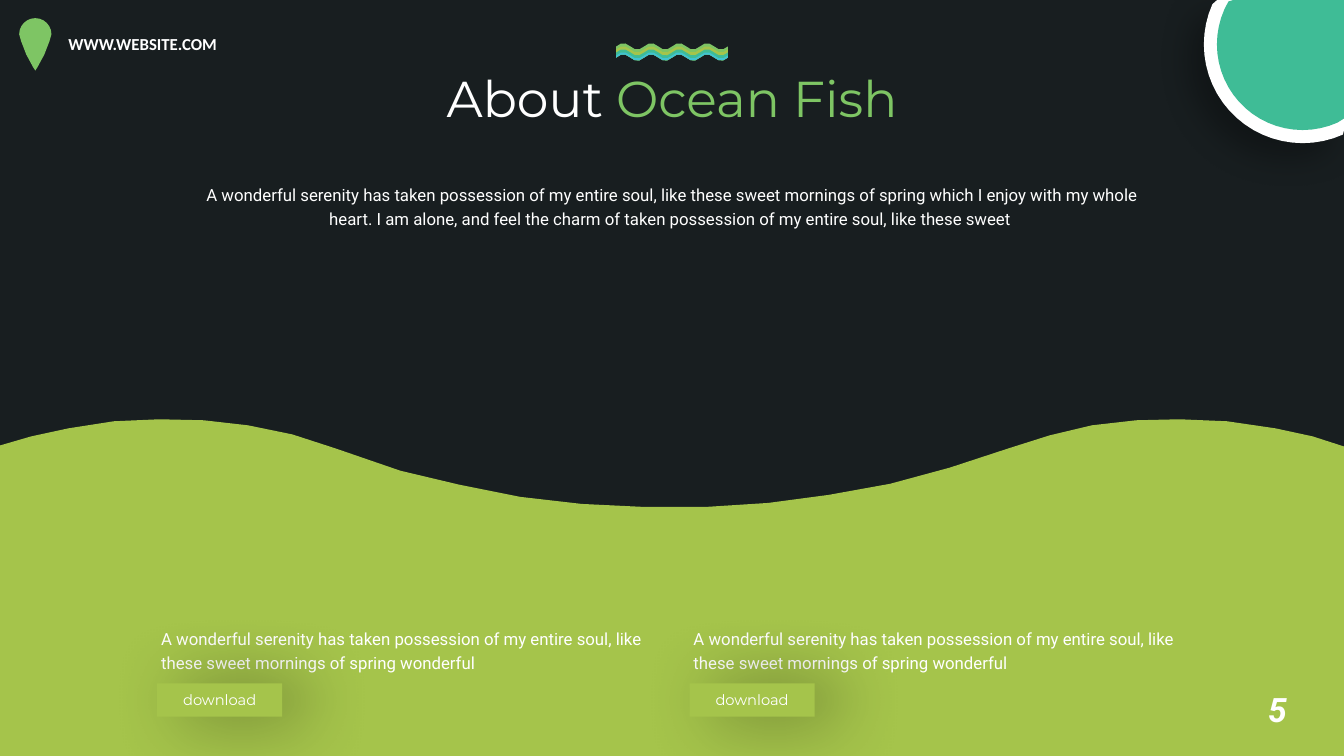
from math import cos, pi, radians, sin

from lxml.etree import SubElement
from pptx import Presentation
from pptx.dml.color import RGBColor
from pptx.enum.shapes import MSO_SHAPE
from pptx.enum.text import MSO_ANCHOR, MSO_AUTO_SIZE, PP_ALIGN
from pptx.oxml.ns import qn
from pptx.util import Pt

SCALE = 9144  # EMU per px, 100 px to the inch
WIDTH, HEIGHT = 1333, 750
COLORS = {
    "night": "181E20",
    "lime": "A5C44B",
    "green": "7EC564",
    "teal": "3FBC96",
    "aqua": "40C2D2",
    "white": "FFFFFF",
    "black": "000000",
}
INTRO = (
    "A wonderful serenity has taken possession of my entire soul, like these sweet "
    "mornings of spring which I enjoy with my whole heart. I am alone, and feel the "
    "charm of taken possession of my entire soul, like these sweet "
)
CARD = (
    "A wonderful serenity has taken possession of my entire soul, like these sweet "
    "mornings of spring wonderful"
)
HILL = [
    (0, 442), (31, 433), (68, 425), (113, 418), (158, 416), (202, 417), (246, 422),
    (290, 431), (333, 445), (397, 467), (456, 481), (516, 493), (577, 500),
    (639, 503), (700, 503), (762, 499), (822, 491), (883, 480), (942, 464), (1000, 445),
    (1041, 432), (1083, 422), (1127, 417), (1170, 416), (1217, 418), (1265, 425),
    (1302, 433), (WIDTH, 443), (WIDTH, HEIGHT), (0, HEIGHT),
]


def px(value):
    return round(value * SCALE)


def rgb(name):
    return RGBColor.from_string(COLORS[name])


def paint(shape, color):
    shape.fill.solid()
    shape.fill.fore_color.rgb = rgb(color)
    shape.line.fill.background()
    shape.shadow.inherit = False


def add_shadow(shape, alpha, blur, distance, angle):
    effects = shape._element.spPr.find(qn("a:effectLst"))
    shadow = SubElement(
        effects, qn("a:outerShdw"), blurRad=str(Pt(blur)), dist=str(Pt(distance)),
        dir=str(angle * 60000), rotWithShape="0",
    )
    color = SubElement(shadow, qn("a:srgbClr"), val=COLORS["black"])
    SubElement(color, qn("a:alpha"), val=str(alpha * 1000))


def add_outline(shapes, points, color):
    corners = [(px(x), px(y)) for x, y in points]
    builder = shapes.build_freeform(*corners[0])
    builder.add_line_segments(corners[1:], close=True)
    shape = builder.convert_to_shape()
    paint(shape, color)
    return shape


def write(frame, text, size=12, font="Roboto", color="white", bold=False,
          italic=False, align=PP_ALIGN.LEFT, spacing=None):
    """Write a string, or a list of (string, color) pairs, as one paragraph."""
    paragraph = frame.paragraphs[0]
    paragraph.alignment = align
    if spacing:
        paragraph.line_spacing = spacing
    for part, part_color in [(text, color)] if isinstance(text, str) else text:
        run = paragraph.add_run()
        run.text = part
        run.font.size = Pt(size)
        run.font.name = font
        run.font.bold = bold
        run.font.italic = italic
        run.font.color.rgb = rgb(part_color)


def add_text(slide, box, text, wrap=True, **style):
    frame = slide.shapes.add_textbox(*map(px, box)).text_frame
    frame.word_wrap = wrap
    frame.auto_size = MSO_AUTO_SIZE.SHAPE_TO_FIT_TEXT
    write(frame, text, **style)


def add_pin(slide):
    center, radius, middle = 35, 16, 34
    arc = [(radius * sin(radians(a)), middle - radius * cos(radians(a)))
           for a in range(0, 100, 15)]
    right = arc + [(14, 41), (9, 54), (2, 67), (0, 70)]
    points = [(center + x, y) for x, y in right]
    points += [(center - x, y) for x, y in reversed(right[1:-1])]
    add_outline(slide.shapes, points, "green")


def add_corner_disc(shapes, radius, color):
    """Draw a disc cut off by the top and right edges of the slide."""
    arc = [
        (min(WIDTH, 1292 + radius * cos(radians(a))), max(0, 44 + radius * sin(radians(a))))
        for a in range(60, 217, 6)
    ]
    return add_outline(shapes, [(WIDTH, 0)] + arc, color)


def add_ripples(slide):
    group = slide.shapes.add_group_shape()
    left, width, bottom, steps = 611, 111, 57, 24
    columns = [left + width * step / steps for step in range(steps + 1)]

    def edge(base):
        return [(x, base - 3.2 * sin(2 * pi * (x - 639) / 27.7)) for x in columns]

    for layer, color in enumerate(["green", "lime", "teal", "aqua"]):
        add_outline(group.shapes, edge(46 + 3 * layer) + edge(bottom)[::-1], color)


def add_card(slide, left):
    add_text(slide, (left, 615, 506, 56), CARD, spacing=1.2)
    button = slide.shapes.add_shape(
        MSO_SHAPE.RECTANGLE, px(left + 6), px(678), px(124), px(33))
    paint(button, "lime")
    add_shadow(button, alpha=40, blur=50, distance=16, angle=0)
    button.text_frame.vertical_anchor = MSO_ANCHOR.MIDDLE
    write(button.text_frame, "download", size=10.5, font="Montserrat",
          align=PP_ALIGN.CENTER)


def main():
    presentation = Presentation()
    presentation.slide_width, presentation.slide_height = px(WIDTH), px(HEIGHT)
    slide = presentation.slides.add_slide(presentation.slide_layouts[6])
    slide.background.fill.solid()
    slide.background.fill.fore_color.rgb = rgb("night")

    # Hill and page number
    add_outline(slide.shapes, HILL, "lime")
    add_text(slide, (1248, 679, 40, 50), "5", wrap=False, size=24, bold=True, italic=True)

    # Web address
    add_pin(slide)
    add_text(slide, (58, 29, 253, 30), "WWW.WEBSITE.COM", font="Calibri", bold=True)

    # Corner badge
    badge = slide.shapes.add_group_shape()
    ring = add_corner_disc(badge.shapes, 98, "white")
    add_shadow(ring, alpha=29, blur=23, distance=15, angle=135)
    add_corner_disc(badge.shapes, 85, "teal")

    # Title and introduction
    add_text(slide, (417, 62, 499, 71), [("About ", "white"), ("Ocean Fish", "green")],
             wrap=False, size=36, font="Montserrat", align=PP_ALIGN.CENTER)
    add_ripples(slide)
    add_text(slide, (182, 174, 970, 56), INTRO, align=PP_ALIGN.CENTER, spacing=1.2)

    # Download cards
    for left in (150, 678):
        add_card(slide, left)

    presentation.save("out.pptx")


if __name__ == "__main__":
    main()
